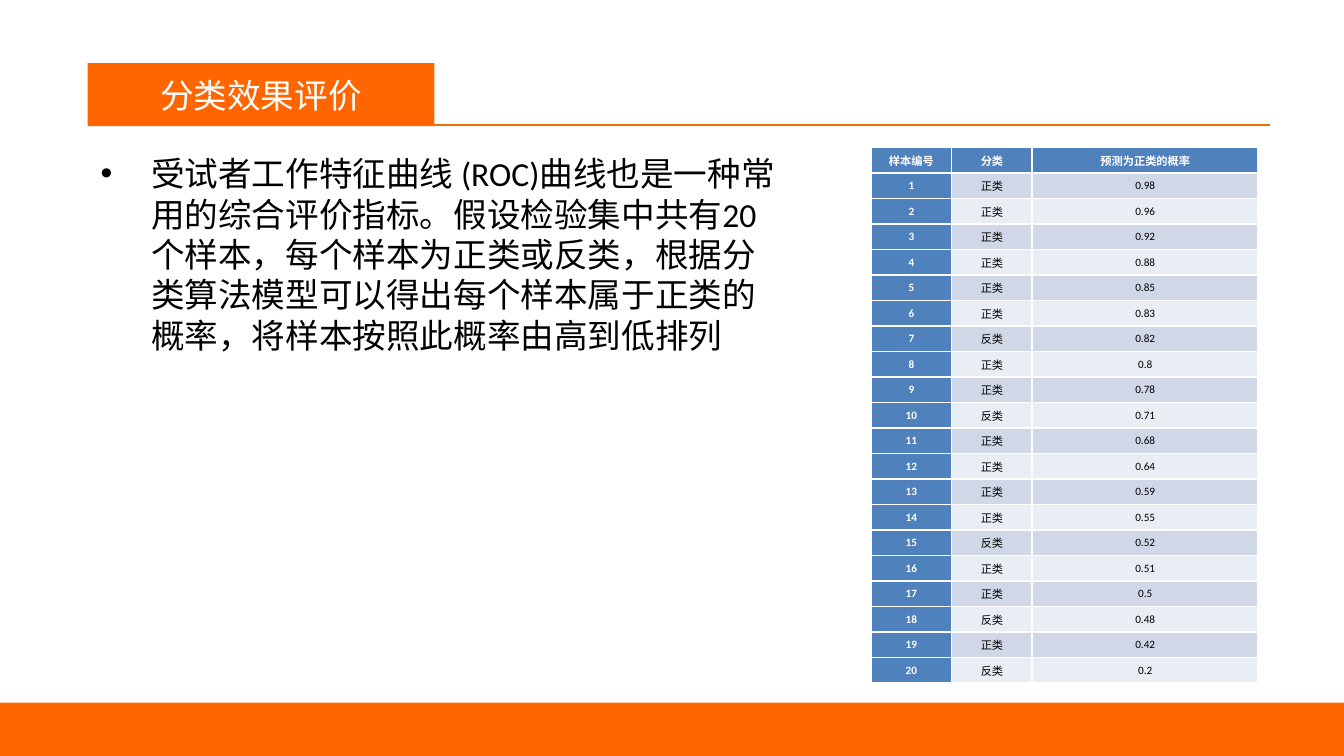
from typing import NamedTuple

from lxml import etree
from pptx import Presentation
from pptx import util as u
from pptx.dml.color import RGBColor
from pptx.enum import shapes, text
from pptx.oxml.ns import qn

Pt = u.Pt
COLORS = {
    "orange": "FF6600",
    "rule": "E46C0A",
    "blue": "4F81BD",
    "band_dark": "D0D8E8",
    "band_light": "E9EDF4",
    "white": "FFFFFF",
    "black": "000000",
}
LATIN_FONT = "Calibri"
CJK_FONT = "Noto Sans CJK SC"
BODY = (
    "受试者工作特征曲线 (ROC)曲线也是一种常用的综合评价指标。"
    "假设检验集中共有20个样本，每个样本为正类或反类，"
    "根据分类算法模型可以得出每个样本属于正类的概率，"
    "将样本按照此概率由高到低排列"
)
HEADERS = ("样本编号", "分类", "预测为正类的概率")
PROBABILITIES = (
    0.98, 0.96, 0.92, 0.88, 0.85, 0.83, 0.82, 0.8, 0.78, 0.71,
    0.68, 0.64, 0.59, 0.55, 0.52, 0.51, 0.5, 0.48, 0.42, 0.2,
)
NEGATIVE_IDS = {7, 10, 15, 18, 20}
COLUMN_WIDTHS = (43.2, 43.2, 121)
ROW_HEIGHT = 13.68


class Box(NamedTuple):
    left: float
    top: float
    width: float
    height: float


class Sample(NamedTuple):
    number: int
    label: str
    probability: float


SAMPLES = [
    Sample(n, "反类" if n in NEGATIVE_IDS else "正类", value)
    for n, value in enumerate(PROBABILITIES, 1)
]
TITLE_BOX = Box(46.9, 33.8, 185.8, 33.8)
BODY_BOX = Box(46.9, 78.5, 381.6, 116.6)
FOOTER_BOX = Box(0, 376.4, 720, 28.6)
TABLE_BOX = Box(466.6, 79, sum(COLUMN_WIDTHS), ROW_HEIGHT * (len(SAMPLES) + 1))


def rgb(name: str) -> RGBColor:
    return RGBColor.from_string(COLORS[name])


def points(box: Box) -> list:
    return [Pt(value) for value in box]


def fill_solid(target, color: str) -> None:
    target.fill.solid()
    target.fill.fore_color.rgb = rgb(color)


def write_text(tf, content: str, *, size: float, color: str = "black",
               bold: bool = False, align=text.PP_ALIGN.LEFT):
    p = tf.paragraphs[0]
    p.alignment = align
    r = p.add_run()
    r.text = content
    r.font.name = LATIN_FONT
    r.font.size = Pt(size)
    r.font.bold = bold
    r.font.color.rgb = rgb(color)
    ea = etree.SubElement(r.font._element, qn("a:ea"))
    ea.set("typeface", CJK_FONT)
    return p


def add_footer(s) -> None:
    sp = s.shapes.add_shape(shapes.MSO_SHAPE.RECTANGLE, *points(FOOTER_BOX))
    sp.shadow.inherit = False
    fill_solid(sp, "orange")
    sp.line.fill.background()


def add_title_rule(s) -> None:
    line = s.shapes.add_connector(
        shapes.MSO_CONNECTOR.STRAIGHT, Pt(59), Pt(66.9), Pt(680.4), Pt(66.9))
    line.line.color.rgb = rgb("rule")
    line.line.width = Pt(0.75)
    etree.SubElement(line._element.spPr, qn("a:effectLst"))


def place_title(s, content: str) -> None:
    """Turn the title placeholder into the orange tab above the rule."""
    sp = s.shapes.title
    sp.left, sp.top, sp.width, sp.height = points(TITLE_BOX)
    fill_solid(sp, "orange")
    tf = sp.text_frame
    tf.auto_size = text.MSO_AUTO_SIZE.NONE
    tf.vertical_anchor = text.MSO_ANCHOR.MIDDLE
    write_text(tf, content, size=18, color="white", align=text.PP_ALIGN.CENTER)
    s.shapes._spTree.append(sp._element)


def add_body(s) -> None:
    sp = s.shapes.add_textbox(*points(BODY_BOX))
    tf = sp.text_frame
    tf.word_wrap = True
    tf.auto_size = text.MSO_AUTO_SIZE.SHAPE_TO_FIT_TEXT
    p = write_text(tf, BODY, size=18)
    p.space_before = Pt(3.6)
    pPr = p._p.get_or_add_pPr()
    pPr.set("marL", str(Pt(27)))
    pPr.set("indent", str(Pt(-27)))
    etree.SubElement(pPr, qn("a:buFont")).set("typeface", "Arial")
    etree.SubElement(pPr, qn("a:buChar")).set("char", "•")


def fill_cell(cell, content: str, fill: str, emphasized: bool) -> None:
    fill_solid(cell, fill)
    cell.margin_left = cell.margin_right = Pt(0.7)
    cell.margin_top = cell.margin_bottom = Pt(0.7)
    cell.vertical_anchor = text.MSO_ANCHOR.MIDDLE
    write_text(cell.text_frame, content, size=6, bold=emphasized,
               color="white" if emphasized else "black",
               align=text.PP_ALIGN.CENTER)


def add_sample_table(s) -> None:
    rows = [HEADERS, *SAMPLES]
    table = s.shapes.add_table(len(rows), len(HEADERS), *points(TABLE_BOX)).table
    table.first_col = True
    for column, width in zip(table.columns, COLUMN_WIDTHS):
        column.width = Pt(width)
    for i, values in enumerate(rows):
        table.rows[i].height = Pt(ROW_HEIGHT)
        band = "band_dark" if i % 2 else "band_light"
        for j, value in enumerate(values):
            emphasized = i == 0 or j == 0
            fill_cell(table.cell(i, j), str(value),
                      "blue" if emphasized else band, emphasized)


def main() -> None:
    prs = Presentation()
    prs.slide_width, prs.slide_height = Pt(720), Pt(405)
    s = prs.slides.add_slide(prs.slide_layouts[5])
    add_title_rule(s)
    add_footer(s)
    place_title(s, "分类效果评价")
    add_body(s)
    add_sample_table(s)
    prs.save("out.pptx")


if __name__ == "__main__":
    main()
